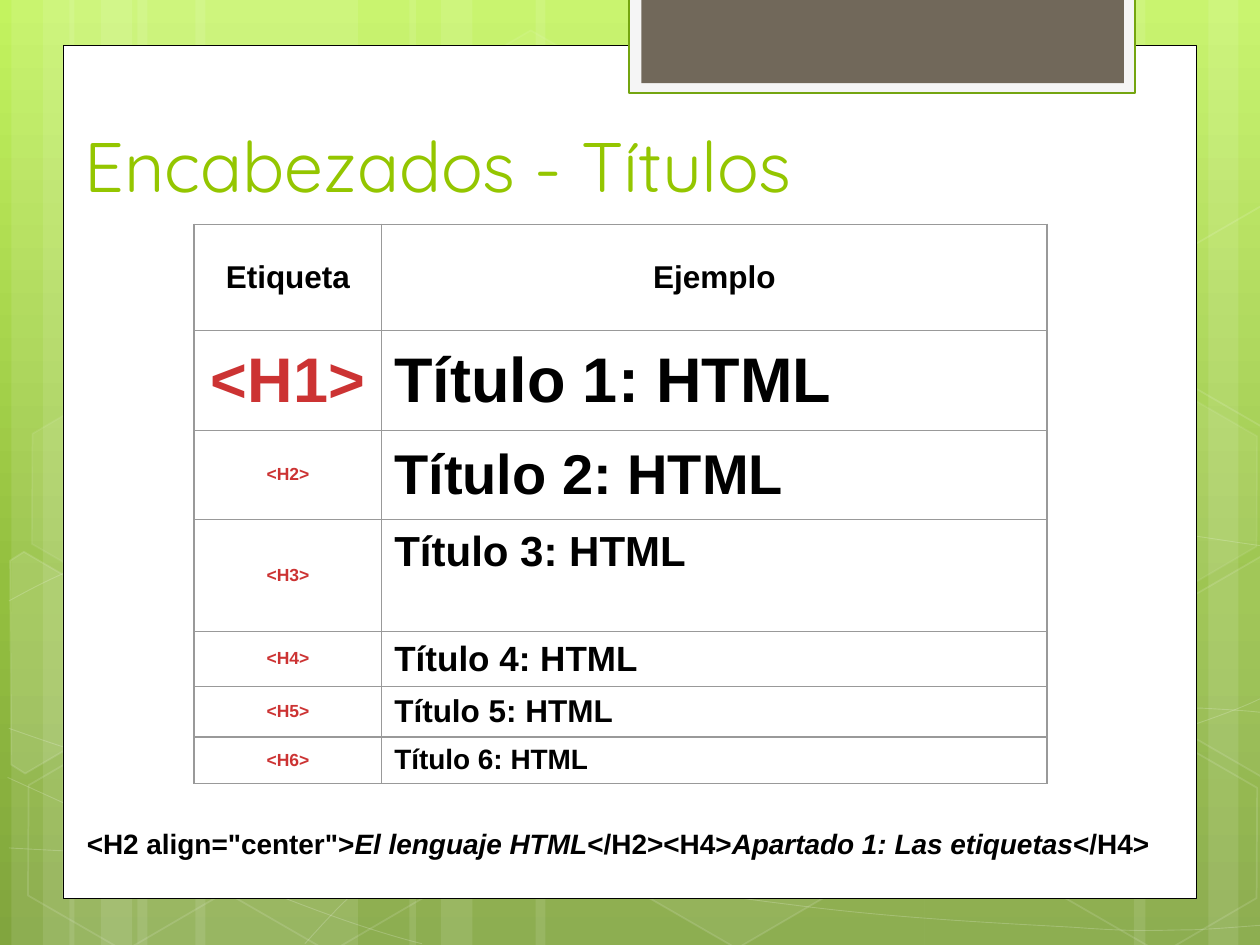
from copy import deepcopy

from lxml.etree import SubElement
from pptx import Presentation
from pptx.dml.color import RGBColor
from pptx.enum.shapes import MSO_SHAPE as Shape
from pptx.enum.text import MSO_ANCHOR as Anchor, MSO_AUTO_SIZE as AutoSize, PP_ALIGN as Align
from pptx.oxml.ns import qn
from pptx.util import Inches, Pt

WHITE = RGBColor(0xFF, 0xFF, 0xFF)
BLACK = RGBColor(0, 0, 0)
LIME = RGBColor(0x94, 0xC6, 0x00)
LEAF = RGBColor(0x74, 0xA5, 0x10)
SMOKE = RGBColor(0xF5, 0xF5, 0xF5)
TAUPE = RGBColor(0x71, 0x68, 0x5A)
RED = RGBColor(0xCC, 0x33, 0x33)
GRAY = RGBColor(0x99, 0x99, 0x99)
GRADIENT = [
    (0, RGBColor(0xC3, 0xF3, 0x5F)),
    (0.62, RGBColor(0x93, 0xBF, 0x3F)),
    (1, RGBColor(0x81, 0xA5, 0x3E)),
]

TITLE = "Encabezados - Títulos"
HEADERS = ("Etiqueta", "Ejemplo")
HEADER_SIZE = 18
EXAMPLES = [
    ("<H1>", 36, "Título 1: HTML", 36),
    ("<H2>", 10, "Título 2: HTML", 32),
    ("<H3>", 10, "Título 3: HTML\v", 24),
    ("<H4>", 10, "Título 4: HTML", 20),
    ("<H5>", 10, "Título 5: HTML", 18),
    ("<H6>", 10, "Título 6: HTML", 16),
]
COLUMN_WIDTHS = (1.49, 5.28)
ROW_HEIGHTS = (0.84, 0.8, 0.7, 0.89, 0.44, 0.4, 0.37)
CODE = [
    ('<H2 align="center">', False),
    ("El lenguaje HTML", True),
    ("</H2><H4>", False),
    ("Apartado 1: Las etiquetas", True),
    ("</H4>", False),
]

STRIPES = [
    (1.09, 1.75), (0.09, 0.5), (0.34, 0.83), (1.55, 1.75), (0.55, 0.5), (0.8, 0.83),
    (7.34, 1.75), (9.59, 0.5), (9, 0.83), (4.25, 3.09), (3.25, 0.5), (3.5, 0.83),
]
CURVES = [
    [(0.07, 6.73), (0.61, 6.76), (1.15, 6.79), (1.9, 6.78), (2.65, 6.77), (3.58, 6.75),
     (4.58, 6.65), (5.58, 6.55), (7, 6.36), (7.92, 6.17), (8.83, 5.98), (9.77, 5.68), (10.07, 5.51)],
    [(0.07, 4.77), (0.36, 4.61), (0.65, 4.46), (1.21, 4.31), (1.78, 4.16), (2.59, 3.94),
     (3.47, 3.87), (4.36, 3.8), (5.44, 3.79), (6.54, 3.87), (7.64, 3.95), (9.47, 4.26), (10.07, 4.34)],
    [(0.06, 6.17), (1.27, 6.72), (2.47, 7.27), (3.35, 7.49)],
    [(0.07, 5.78), (0.38, 5.89), (0.7, 6), (1.28, 6.16), (1.86, 6.31), (2.73, 6.56),
     (3.57, 6.73), (4.4, 6.9), (5.45, 7.08), (6.28, 7.18), (7.11, 7.29), (8, 7.33),
     (8.53, 7.36), (9.06, 7.4), (9.19, 7.38), (9.45, 7.38), (9.71, 7.37), (9.89, 7.35), (10.07, 7.34)],
    [(2.42, 7.49), (2.6, 7.29), (2.78, 7.09), (3.02, 6.91), (3.26, 6.72), (3.6, 6.53),
     (3.88, 6.39), (4.16, 6.25), (4.33, 6.19), (4.69, 6.09), (5.06, 5.99), (5.73, 5.85),
     (6.08, 5.78), (6.44, 5.71), (6.49, 5.71), (6.8, 5.69), (7.11, 5.66), (7.6, 5.63),
     (7.94, 5.62), (8.29, 5.61), (8.86, 5.62), (8.86, 5.62), (9.08, 5.62), (9.31, 5.62),
     (9.53, 5.62), (9.71, 5.63), (9.88, 5.64), (9.97, 5.65), (10.06, 5.66), (10.03, 5.65), (10.06, 5.66)],
]
HEXAGONS = [
    (3.34, 0.36, 4, 8), (4.97, 5.89, 6, 12), (0.11, 5.91, 0, 12), (0.14, 3.12, 7, 8),
    (1.74, 5.92, 0, 12), (7.53, 4.53, 10, 12), (8.34, 5.93, 0, 12), (8.34, 3.14, 7, 8),
]
CUT_HEXAGONS = [
    ([(0.08, 4.45), (0.19, 4.38), (0.96, 4.83), (0.95, 5.7), (0.2, 6.14), (0.09, 6.07)], 10),
    ([(9.26, 4.85), (10.02, 4.41), (10.09, 4.46), (10.09, 6.13), (10.02, 6.17), (9.26, 5.73)], 4),
    ([(9.26, 2.07), (10.02, 1.63), (10.1, 1.68), (10.09, 3.35), (10.02, 3.39), (9.26, 2.95)], 0),
]
PANELS = [
    (0.5, 0.36, 9, 6.77, WHITE, BLACK, 0.5),
    (4.99, -0.02, 4.02, 0.76, SMOKE, LEAF, 1.25),
    (5.09, -0.02, 3.83, 0.68, TAUPE, None, 0),
]


def paint(fill, color, opacity):
    if not opacity:
        fill.background()
        return
    fill.solid()
    fill.fore_color.rgb = color


def fade(element, opacity):
    for color in element.iter(qn("a:srgbClr")):
        SubElement(color, qn("a:alpha"), val=str(opacity * 1000))


def style(shape, fill, line, width, fill_opacity=100, line_opacity=100):
    shape.shadow.inherit = False
    paint(shape.fill, fill, fill_opacity)
    if fill_opacity < 100:
        fade(shape.element.spPr, fill_opacity)
    paint(shape.line.fill, line, line_opacity if line is not None else 0)
    if line is not None:
        shape.line.width = Pt(width)
        if line_opacity < 100:
            fade(shape.element.spPr.find(qn("a:ln")), line_opacity)


def add_preset(page, kind, left, top, width, height):
    return page.shapes.add_shape(kind, Inches(left), Inches(top), Inches(width), Inches(height))


def add_outline(page, points, close):
    corners = [(Inches(x), Inches(y)) for x, y in points]
    builder = page.shapes.build_freeform(*corners[0])
    builder.add_line_segments(corners[1:], close=close)
    return builder.convert_to_shape()


def add_curve(page, controls):
    curve = add_outline(page, controls, False)
    outline = curve.element.find(".//" + qn("a:path"))
    segments = outline.findall(qn("a:lnTo"))
    for first in range(0, len(segments), 3):
        bend = SubElement(outline, qn("a:cubicBezTo"))
        for segment in segments[first:first + 3]:
            bend.append(segment[0])
            outline.remove(segment)
    return curve


def add_background(page):
    fill = page.background.fill
    fill.gradient()
    fill.gradient_angle = 270
    stops = page.element.find(".//" + qn("a:gsLst"))
    stops.append(deepcopy(stops[-1]))
    for stop, (position, color) in zip(fill.gradient_stops, GRADIENT):
        stop.position = position
        stop.color.rgb = color


def add_decoration(page):
    for left, width in STRIPES:
        style(add_preset(page, Shape.RECTANGLE, left, 0, width, 7.5), WHITE, None, 0, 10)
    for controls in CURVES:
        style(add_curve(page, controls), WHITE, WHITE, 0.5, 0, 20)
    for left, top, fill_opacity, line_opacity in HEXAGONS:
        hexagon = add_preset(page, Shape.HEXAGON, left, top, 1.75, 1.52)
        hexagon.rotation = 30
        hexagon.adjustments[0] = 0.285
        style(hexagon, WHITE, WHITE, 1, fill_opacity, line_opacity)
    for points, opacity in CUT_HEXAGONS:
        style(add_outline(page, points, True), WHITE, WHITE, 1, opacity, 12)
    for left, top, width, height, fill, line, weight in PANELS:
        style(add_preset(page, Shape.RECTANGLE, left, top, width, height), fill, line, weight)


def set_font(font, size, color, name="Arial", bold=True):
    font.name, font.size, font.bold = name, Pt(size), bold
    font.color.rgb = color


def add_title(page):
    title = page.shapes.title
    page.shapes.element.append(title.element)
    title.left, title.top, title.width, title.height = map(Inches, (0.57, 0.44, 7.68, 1.25))
    frame = title.text_frame
    frame.text = TITLE
    frame.auto_size = AutoSize.NONE
    frame.vertical_anchor = Anchor.BOTTOM
    frame.paragraphs[0].alignment = Align.LEFT
    set_font(frame.paragraphs[0].font, 40, LIME, "Quicksand", False)


def fill_cell(cell, text, size, color, align):
    cell.text = text
    cell.vertical_anchor = Anchor.MIDDLE
    para = cell.text_frame.paragraphs[0]
    para.alignment = align
    set_font(para.font, size, color)
    cell.fill.background()
    properties = cell._tc.get_or_add_tcPr()
    for index, side in enumerate(("a:lnL", "a:lnR", "a:lnT", "a:lnB")):
        border = SubElement(properties, qn(side), w=str(Pt(0.75)))
        SubElement(SubElement(border, qn("a:solidFill")), qn("a:srgbClr"), val=str(GRAY))
        properties.insert(index, border)


def add_examples(page):
    table = page.shapes.add_table(
        len(ROW_HEIGHTS), len(COLUMN_WIDTHS), Inches(1.54), Inches(1.78),
        Inches(sum(COLUMN_WIDTHS)), Inches(sum(ROW_HEIGHTS))).table
    table.first_row = table.horz_banding = False
    for column, width in zip(table.columns, COLUMN_WIDTHS):
        column.width = Inches(width)
    for row, height in zip(table.rows, ROW_HEIGHTS):
        row.height = Inches(height)
    for column, text in enumerate(HEADERS):
        fill_cell(table.cell(0, column), text, HEADER_SIZE, BLACK, Align.CENTER)
    for row, (tag, tag_size, text, size) in enumerate(EXAMPLES, 1):
        fill_cell(table.cell(row, 0), tag, tag_size, RED, Align.CENTER)
        fill_cell(table.cell(row, 1), text, size, BLACK, Align.LEFT)


def add_code(page):
    box = page.shapes.add_textbox(Inches(0.59), Inches(6.51), Inches(8.72), Inches(0.37))
    frame = box.text_frame
    frame.word_wrap = True
    frame.auto_size = AutoSize.SHAPE_TO_FIT_TEXT
    frame.vertical_anchor = Anchor.MIDDLE
    para = frame.paragraphs[0]
    set_font(para.font, 16, BLACK)
    for text, italic in CODE:
        span = para.add_run()
        span.text = text
        span.font.italic = italic


def main():
    deck = Presentation()
    deck.slide_width, deck.slide_height = Inches(10), Inches(7.5)
    page = deck.slides.add_slide(deck.slide_layouts[5])
    add_background(page)
    add_decoration(page)
    add_title(page)
    add_examples(page)
    add_code(page)
    deck.save("out.pptx")


if __name__ == "__main__":
    main()
